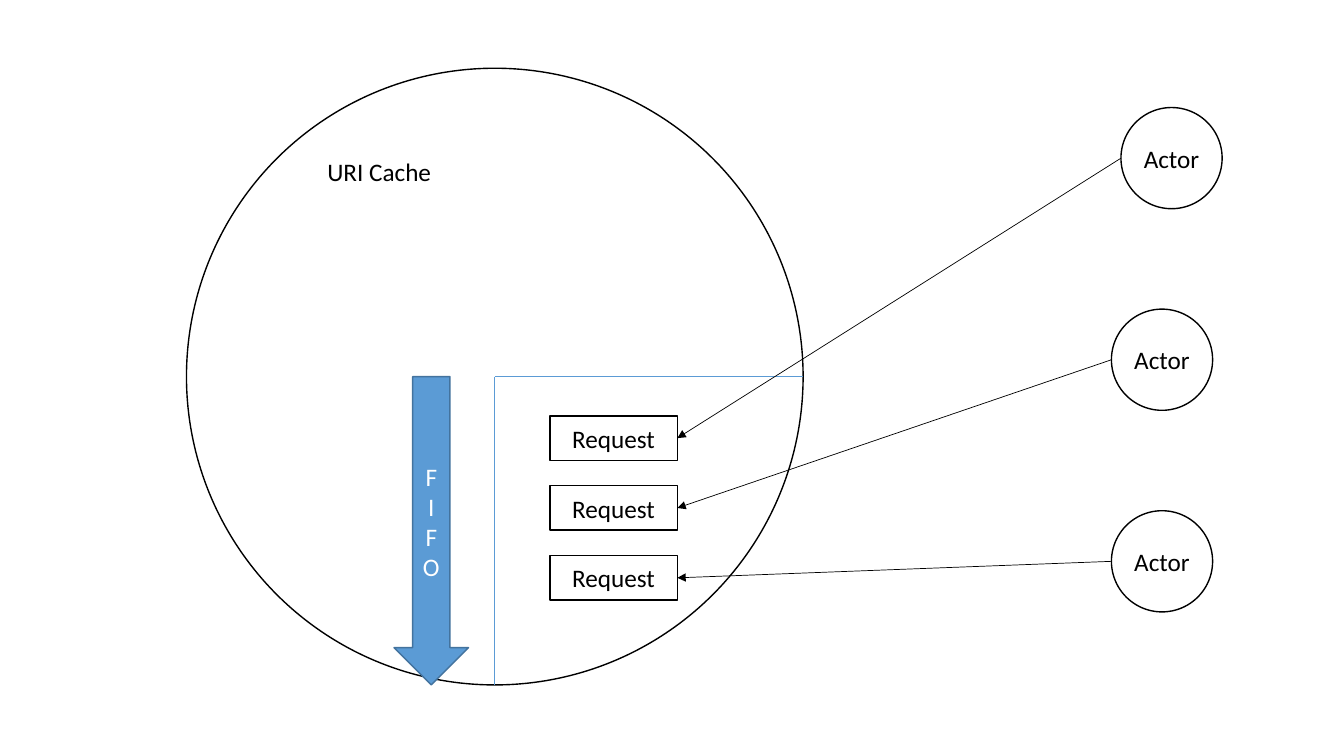
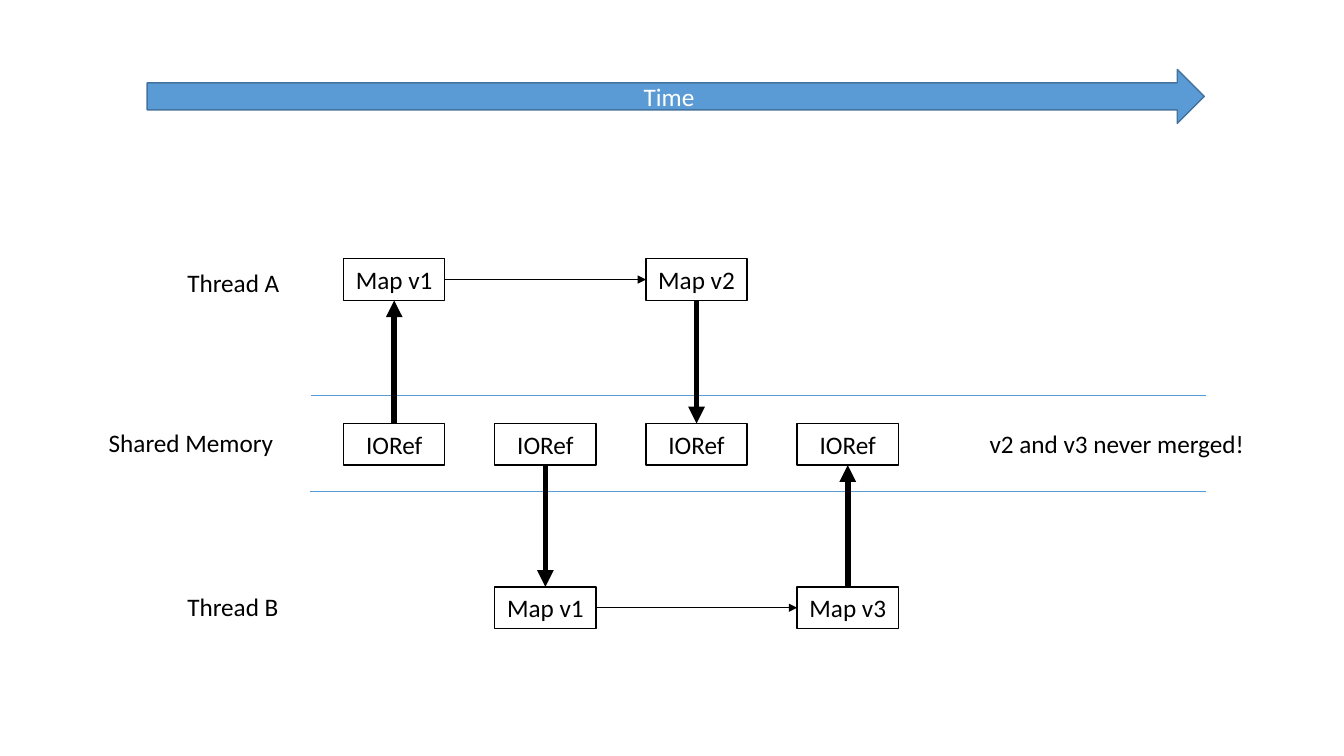
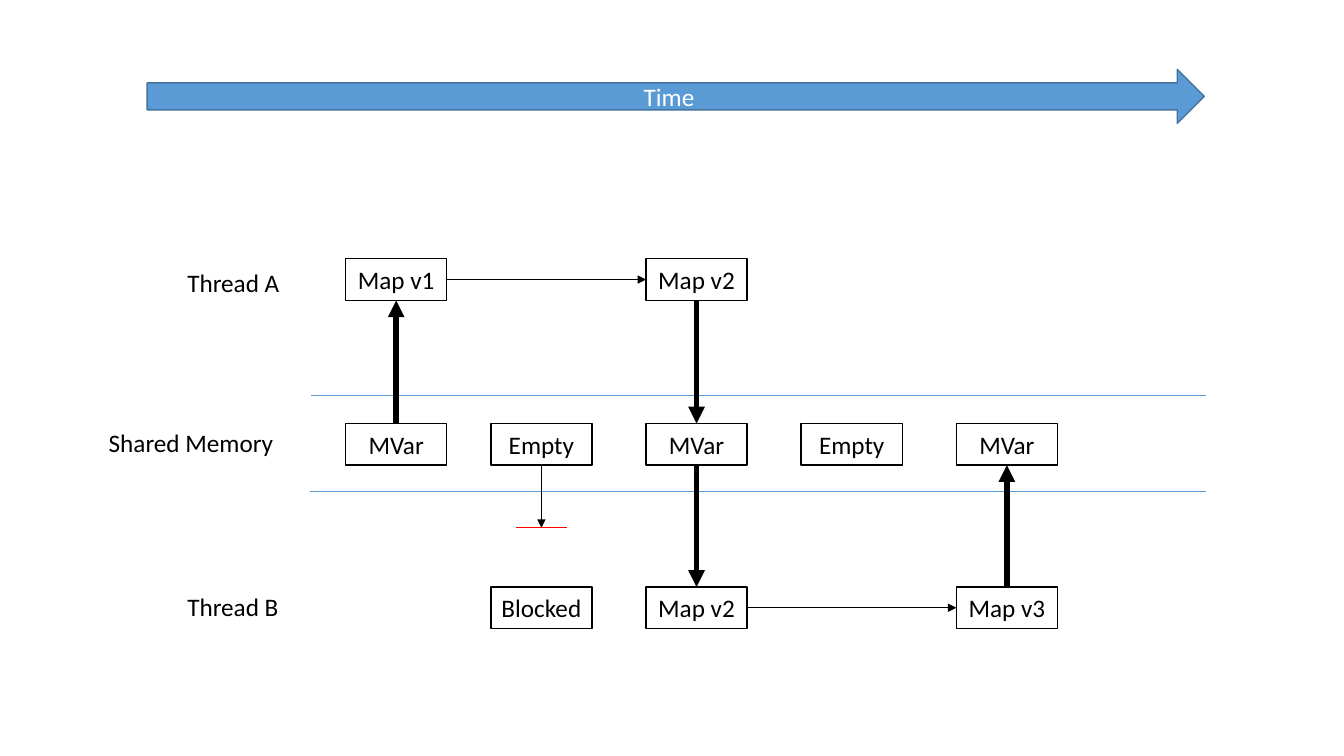
from dataclasses import dataclass

from lxml.etree import SubElement
from pptx import Presentation
from pptx.dml.color import RGBColor
from pptx.enum.shapes import MSO_CONNECTOR, MSO_SHAPE
from pptx.enum.text import MSO_ANCHOR, MSO_AUTO_SIZE, PP_ALIGN
from pptx.oxml.ns import qn
from pptx.util import Cm, Pt

TOP, LEFT, BOTTOM, RIGHT = range(4)  # connection sites of a rectangle
LANES = {"A": 6.52, "shared": 10.67, "B": 14.79}
BOX_WIDTH, BOX_HEIGHT = 2.55, 1.05


@dataclass(frozen=True)
class Theme:
    font: str = "Calibri"
    text_size: float = 18
    outline: float = 1
    thin: float = 0.5
    thick: float = 4
    ink: RGBColor = RGBColor(0x00, 0x00, 0x00)
    paper: RGBColor = RGBColor(0xFF, 0xFF, 0xFF)
    accent: RGBColor = RGBColor(0x5B, 0x9B, 0xD5)
    accent_edge: RGBColor = RGBColor(0x43, 0x73, 0x9E)
    stop: RGBColor = RGBColor(0xFF, 0x00, 0x00)


class Deck:
    """Holds the theme and the current slide; lengths are in centimetres."""

    def __init__(self, theme):
        self.theme = theme
        self.presentation = Presentation()
        self.presentation.slide_width = Cm(33.87)
        self.presentation.slide_height = Cm(19.05)
        self.slide = None

    def new_slide(self):
        blank = self.presentation.slide_layouts[6]
        self.slide = self.presentation.slides.add_slide(blank)

    def set_text(self, shape, text, color, alignment):
        paragraph = shape.text_frame.paragraphs[0]
        paragraph.text = text
        paragraph.alignment = alignment
        paragraph.font.name = self.theme.font
        paragraph.font.size = Pt(self.theme.text_size)
        paragraph.font.color.rgb = color

    def shape(self, kind, left, top, width, height, text, fill, edge, color, wrap=True):
        shape = self.slide.shapes.add_shape(kind, Cm(left), Cm(top), Cm(width), Cm(height))
        shape.shadow.inherit = False
        shape.fill.solid()
        shape.fill.fore_color.rgb = fill
        shape.line.color.rgb = edge
        shape.line.width = Pt(self.theme.outline)
        shape.text_frame.word_wrap = wrap
        shape.text_frame.vertical_anchor = MSO_ANCHOR.MIDDLE
        if text:
            self.set_text(shape, text, color, PP_ALIGN.CENTER)
        return shape

    def box(self, left, top, width, height, text):
        theme = self.theme
        return self.shape(MSO_SHAPE.RECTANGLE, left, top, width, height, text,
                          theme.paper, theme.ink, theme.ink)

    def circle(self, left, top, diameter, text=""):
        theme = self.theme
        return self.shape(MSO_SHAPE.OVAL, left, top, diameter, diameter, text,
                          theme.paper, theme.ink, theme.ink, wrap=False)

    def block_arrow(self, kind, left, top, width, height, text):
        theme = self.theme
        return self.shape(kind, left, top, width, height, text,
                          theme.accent, theme.accent_edge, theme.paper)

    def label(self, left, top, width, text):
        shape = self.slide.shapes.add_textbox(Cm(left), Cm(top), Cm(width), Cm(1.03))
        shape.text_frame.word_wrap = False
        shape.text_frame.auto_size = MSO_AUTO_SIZE.SHAPE_TO_FIT_TEXT
        self.set_text(shape, text, self.theme.ink, PP_ALIGN.LEFT)

    def line(self, start, end, color, width=Theme.thin, arrow=False):
        points = [Cm(value) for value in (*start, *end)]
        connector = self.slide.shapes.add_connector(MSO_CONNECTOR.STRAIGHT, *points)
        connector.line.color.rgb = color
        connector.line.width = Pt(width)
        properties = connector._element.spPr
        if arrow:
            SubElement(properties.find(qn("a:ln")), qn("a:tailEnd"), type="triangle")
        SubElement(properties, qn("a:effectLst"))
        return connector

    def link(self, source, source_site, target, target_site, width=Theme.thin):
        """Draw an arrow that stays attached to two rectangles."""
        connector = self.line((0, 0), (1, 1), self.theme.ink, width, arrow=True)
        connector.begin_connect(source, source_site)
        connector.end_connect(target, target_site)

    def timeline(self, columns, rows):
        """Draw the time axis, the lanes and the boxes; return boxes by (row, column)."""
        self.block_arrow(MSO_SHAPE.RIGHT_ARROW, 3.71, 1.75, 26.64, 1.36, "Time")
        for left, top in ((7.8, 12.37), (7.85, 9.96)):
            self.line((left, top), (30.4, top), self.theme.accent)
        self.label(4.47, 6.6, 2.87, "Thread A")
        self.label(4.47, 14.78, 2.87, "Thread B")
        self.label(2.49, 10.64, 4.7, "Shared Memory")
        boxes = {}
        for (row, top), texts in zip(LANES.items(), rows):
            for column, text in texts.items():
                boxes[row, column] = self.box(columns[column], top, BOX_WIDTH, BOX_HEIGHT, text)
        return boxes

    def transfer(self, boxes, column, source_row, target_row):
        """Draw a thick arrow between two lanes of one column."""
        down = LANES[source_row] < LANES[target_row]
        sites = (BOTTOM, TOP) if down else (TOP, BOTTOM)
        self.link(boxes[source_row, column], sites[0],
                  boxes[target_row, column], sites[1], self.theme.thick)


def cache_slide(deck):
    deck.new_slide()
    theme = deck.theme
    left, top, diameter = 4.7, 1.72, 15.54
    middle_x, middle_y = left + diameter / 2, top + diameter / 2
    deck.circle(left, top, diameter)
    deck.label(8, 3.81, 3.15, "URI Cache")
    deck.line((left + diameter, middle_y), (middle_x, middle_y), theme.accent)
    deck.line((middle_x, middle_y), (middle_x, top + diameter), theme.accent)

    actor_size = 2.55
    for row, actor_left in enumerate((28.25, 28.01, 28.01)):
        actor_top = 2.71 + 5.08 * row
        deck.circle(actor_left, actor_top, actor_size, "Actor")
        request = deck.box(13.86, 10.48 + 1.76 * row, 3.21, 1.12, "Request")
        start = (actor_left, actor_top + actor_size / 2)
        arrow = deck.line(start, (17.07, 11.04), theme.ink, arrow=True)
        arrow.end_connect(request, RIGHT)

    deck.block_arrow(MSO_SHAPE.DOWN_ARROW, 9.93, middle_y, 1.88, diameter / 2, "FIFO")


def shared_reference_slide(deck):
    deck.new_slide()
    columns = [8.66 + 3.81 * column for column in range(4)]
    boxes = deck.timeline(columns, (
        {0: "Map v1", 2: "Map v2"},
        dict.fromkeys(range(4), "IORef"),
        {1: "Map v1", 3: "Map v3"},
    ))
    deck.transfer(boxes, 0, "shared", "A")
    deck.transfer(boxes, 1, "shared", "B")
    deck.transfer(boxes, 2, "A", "shared")
    deck.transfer(boxes, 3, "B", "shared")
    deck.link(boxes["A", 0], RIGHT, boxes["A", 2], LEFT)
    deck.link(boxes["B", 1], RIGHT, boxes["B", 3], LEFT)
    deck.label(24.69, 10.67, 6.96, "v2 and v3 never merged!")


def locked_variable_slide(deck):
    deck.new_slide()
    columns = (8.71, 12.37, 16.28, 20.19, 24.1)
    boxes = deck.timeline(columns, (
        {0: "Map v1", 2: "Map v2"},
        {0: "MVar", 1: "Empty", 2: "MVar", 3: "Empty", 4: "MVar"},
        {1: "Blocked", 2: "Map v2", 4: "Map v3"},
    ))
    deck.transfer(boxes, 0, "shared", "A")
    deck.transfer(boxes, 2, "A", "shared")
    deck.transfer(boxes, 2, "shared", "B")
    deck.transfer(boxes, 4, "B", "shared")
    deck.link(boxes["A", 0], RIGHT, boxes["A", 2], LEFT)
    deck.link(boxes["B", 2], RIGHT, boxes["B", 4], LEFT)

    blocked_x, barrier_y = columns[1] + BOX_WIDTH / 2, 13.3
    barrier_half = BOX_WIDTH / 4
    arrow = deck.line((blocked_x, LANES["shared"] + BOX_HEIGHT), (blocked_x, barrier_y),
                      deck.theme.ink, arrow=True)
    arrow.begin_connect(boxes["shared", 1], BOTTOM)
    deck.line((blocked_x - barrier_half, barrier_y), (blocked_x + barrier_half, barrier_y),
              deck.theme.stop)


def main():
    deck = Deck(Theme())
    cache_slide(deck)
    shared_reference_slide(deck)
    locked_variable_slide(deck)
    deck.presentation.save("out.pptx")


if __name__ == "__main__":
    main()
